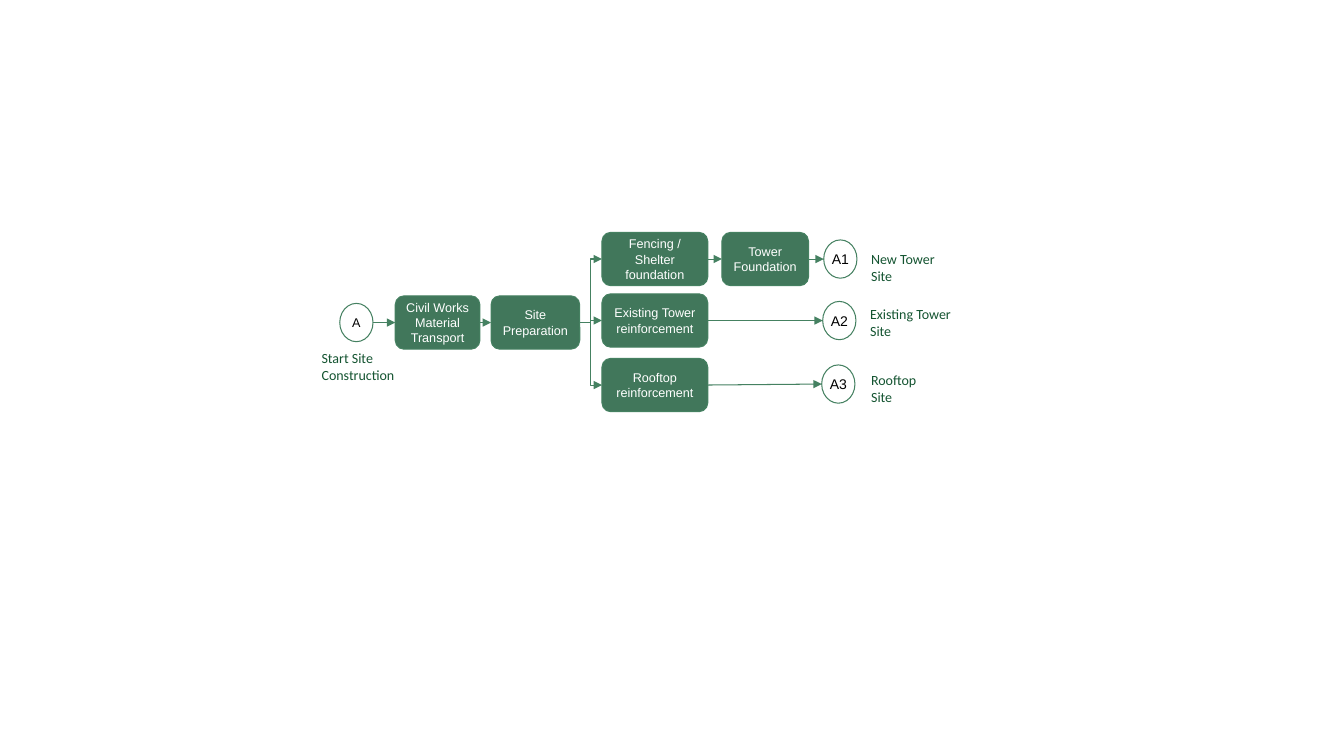
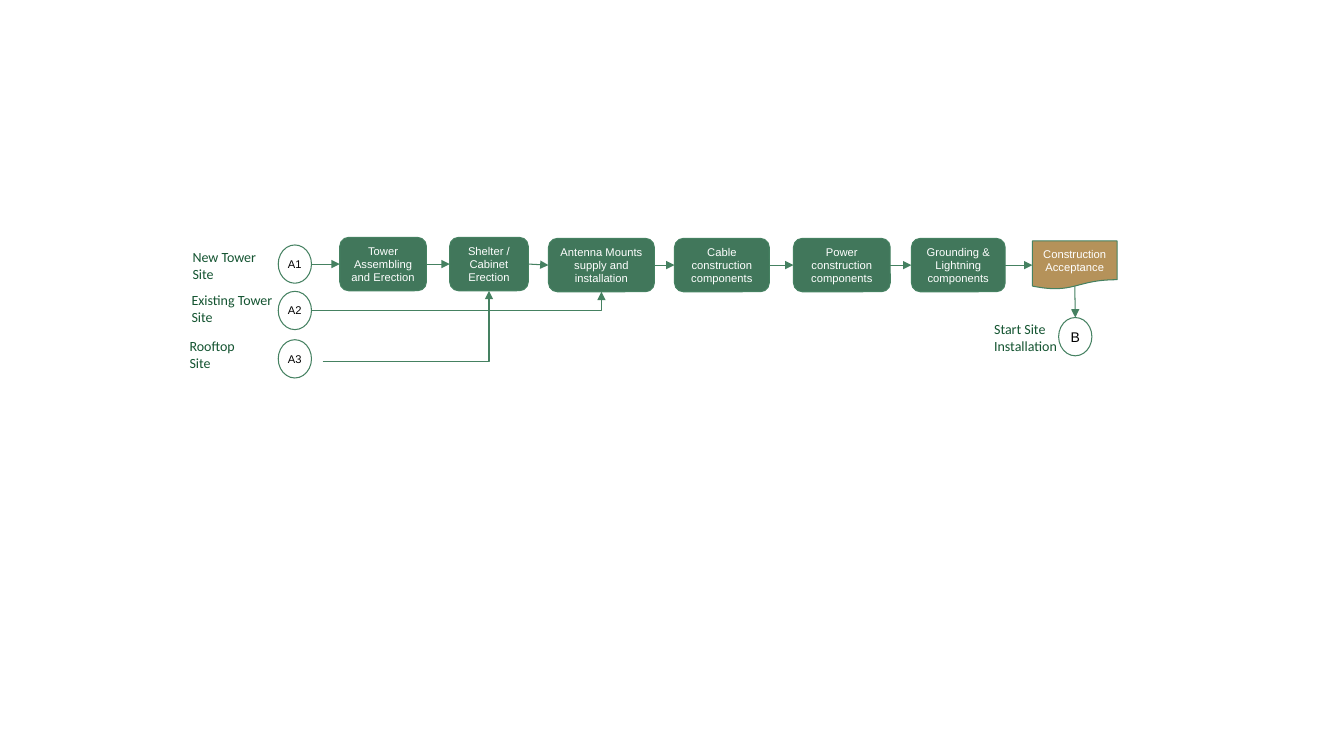
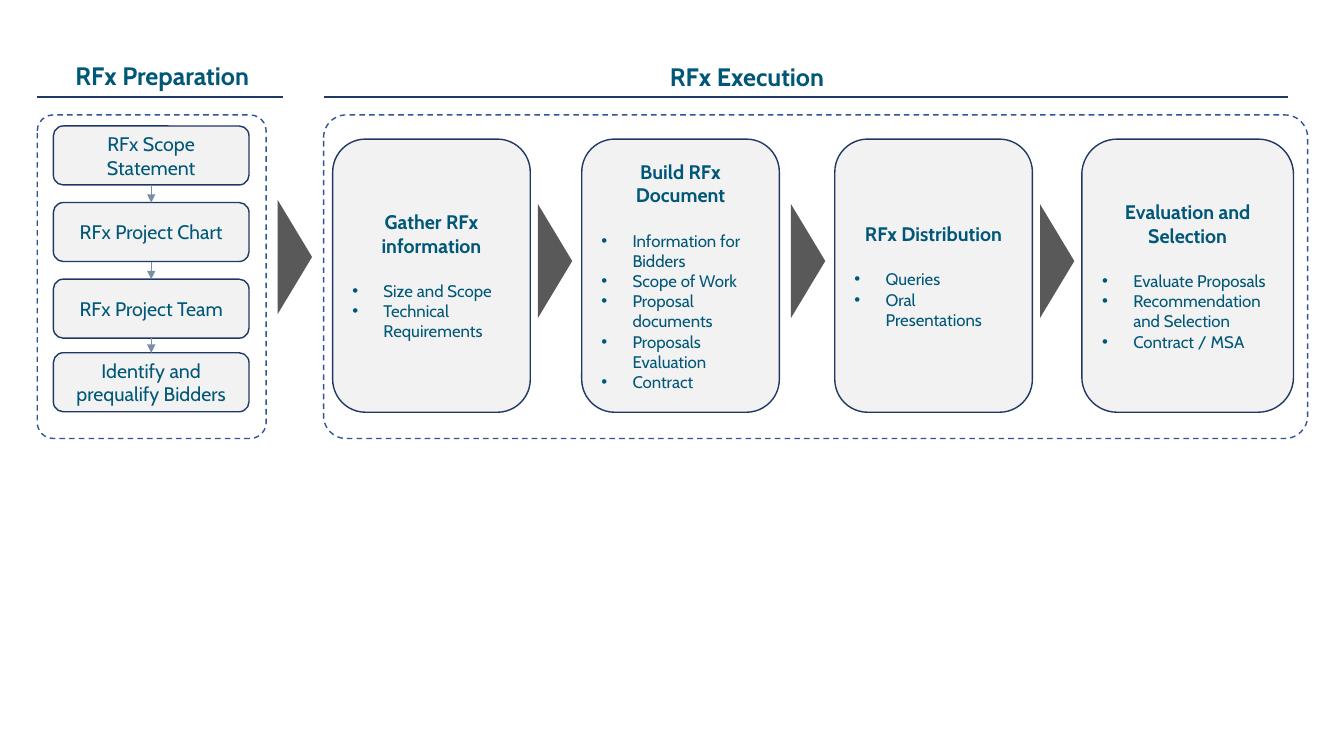
from itertools import pairwise

from lxml import etree
from pptx import Presentation
from pptx import util as u
from pptx.dml.color import RGBColor
from pptx.enum import dml, shapes, text
from pptx.oxml.ns import qn

GREEN = RGBColor(0x41, 0x77, 0x5B)
GREEN_LINE = RGBColor(0x45, 0x81, 0x61)
DARK_GREEN = RGBColor(0x14, 0x54, 0x31)
TAN = RGBColor(0xB5, 0x92, 0x5A)
WHITE = RGBColor(0xFF, 0xFF, 0xFF)
BLACK = RGBColor(0, 0, 0)
TEAL = RGBColor(0x00, 0x57, 0x78)
NAVY = RGBColor(0x20, 0x38, 0x64)
BLUE = RGBColor(0x2F, 0x55, 0x97)
BLUE_GRAY = RGBColor(0x7A, 0x8E, 0xAA)
LIGHT = RGBColor(0xF2, 0xF2, 0xF2)
GRAY = RGBColor(0x59, 0x59, 0x59)

SHAPE = shapes.MSO_SHAPE
CENTER = text.PP_ALIGN.CENTER
NODE_H = 5.3
OVAL_W, OVAL_H = 3.3, 3.8


def grid(n):
    """Length of n grid cells; ten cells make an inch."""
    return u.Inches(n / 10)


def point(x, y):
    return grid(x), grid(y)


def left(sp):
    return sp.left, sp.top + sp.height // 2


def right(sp):
    return sp.left + sp.width, sp.top + sp.height // 2


def top(sp):
    return sp.left + sp.width // 2, sp.top


def bottom(sp):
    return sp.left + sp.width // 2, sp.top + sp.height


class Deck:
    def __init__(self):
        self.prs = Presentation()
        self.prs.slide_width = u.Inches(13.33)
        self.prs.slide_height = u.Inches(7.5)
        self.s = None

    def new_slide(self):
        self.s = self.prs.slides.add_slide(self.prs.slide_layouts[6])

    def style(self, p, font, size, color, bold=False, align=None):
        p.alignment = align
        p.font.name = font
        p.font.size = u.Pt(size)
        p.font.color.rgb = color
        p.font.bold = bold

    def put_text(self, sp, words, *style, inset=None, **more):
        """Put each line of words in its own paragraph, all in one style."""
        tf = sp.text_frame
        tf.word_wrap = True
        if inset is not None:
            tf.margin_left = tf.margin_right = grid(inset)
            tf.margin_top = tf.margin_bottom = grid(inset)
        tf.text = words
        for p in tf.paragraphs:
            self.style(p, *style, **more)

    def shape(self, kind, x, y, w, h, fill=None, line=None, width=1):
        sp = self.s.shapes.add_shape(kind, grid(x), grid(y), grid(w), grid(h))
        sp.shadow.inherit = False
        if fill is None:
            sp.fill.background()
        else:
            sp.fill.solid()
            sp.fill.fore_color.rgb = fill
        if line is None:
            sp.line.fill.background()
        else:
            sp.line.color.rgb = line
            sp.line.width = u.Pt(width)
        return sp

    def node(self, x, mid, w, words, size, kind=SHAPE.ROUNDED_RECTANGLE,
             h=NODE_H, fill=GREEN):
        """Process step centred on the height mid."""
        sp = self.shape(kind, x, mid - h / 2, w, h, fill, GREEN_LINE, 0.75)
        self.put_text(sp, words, "Arial", size, WHITE, align=CENTER, inset=0.8)
        return sp

    def oval(self, x, mid, words, size):
        sp = self.shape(SHAPE.OVAL, x, mid - OVAL_H / 2, OVAL_W, OVAL_H,
                        WHITE, GREEN_LINE, 0.75)
        self.put_text(sp, words, "Arial", size, BLACK, align=CENTER, inset=0)
        return sp

    def textbox(self, x, y, w, h, words, *style, **more):
        sp = self.s.shapes.add_textbox(grid(x), grid(y), grid(w), grid(h))
        self.put_text(sp, words, *style, **more)

    def label(self, x, y, w, words):
        self.textbox(x, y, w, 3.4, words, "Calibri", 10, DARK_GREEN, inset=0)

    def line(self, start, end, color, width, preset=None, head=False):
        kind = shapes.MSO_CONNECTOR.STRAIGHT
        if preset:
            kind = shapes.MSO_CONNECTOR.ELBOW
        c = self.s.shapes.add_connector(kind, *start, *end)
        c.line.color.rgb = color
        c.line.width = u.Pt(width)
        sp_pr = c._element.spPr
        if preset:
            sp_pr.find(qn("a:prstGeom")).set("prst", preset)
        if head:
            etree.SubElement(sp_pr.find(qn("a:ln")), qn("a:tailEnd"), type="triangle")
        etree.SubElement(sp_pr, qn("a:effectLst"))

    def arrow(self, start, end, preset=None):
        self.line(start, end, GREEN_LINE, 0.75, preset, head=True)

    def chain(self, *nodes):
        """Arrows from each node to the next one on its right."""
        for a, b in pairwise(nodes):
            self.arrow(right(a), left(b))

    def heading(self, x, y, w, words, rule_x, rule_w):
        self.textbox(x, y, w, 4, words, "Cabin", 18, TEAL, True, CENTER)
        self.line(point(rule_x, 9.6), point(rule_x + rule_w, 9.6), NAVY, 1.5)

    def panel(self, x, w):
        sp = self.shape(SHAPE.ROUNDED_RECTANGLE, x, 11.4, w, 32.1, line=BLUE)
        sp.line.dash_style = dml.MSO_LINE.DASH
        sp.adjustments[0] = 0.07

    def step(self, y, words):
        sp = self.shape(SHAPE.ROUNDED_RECTANGLE, 5.3, y, 19.4, 5.85, LIGHT, NAVY)
        self.put_text(sp, words, "Cabin", 14, TEAL, align=CENTER)
        return sp

    def card(self, x, w, title, items):
        sp = self.shape(SHAPE.ROUNDED_RECTANGLE, x, 13.8, w, 27.1, LIGHT, NAVY)
        self.put_text(sp, title, "Cabin", 14, TEAL, True, CENTER)
        tf = sp.text_frame
        tf.paragraphs[0].space_after = u.Pt(17)
        for item in items:
            p = tf.add_paragraph()
            p.text = item
            self.bullet(p)
            self.style(p, "Cabin", 12, TEAL, align=text.PP_ALIGN.LEFT)

    def bullet(self, p):
        p_pr = p._p.get_or_add_pPr()
        p_pr.set("marL", str(grid(3.1)))
        p_pr.set("indent", str(-grid(3.1)))
        etree.SubElement(p_pr, qn("a:buFont"), typeface="Arial")
        etree.SubElement(p_pr, qn("a:buChar"), char="•")

    def pointer(self, mid_x, mid_y):
        """Triangle turned to the right, centred on a point."""
        w, h = 11.3, 3.4
        sp = self.shape(SHAPE.ISOSCELES_TRIANGLE, mid_x - w / 2, mid_y - h / 2,
                        w, h, GRAY)
        sp.rotation = 90


def site_preparation(d):
    d.new_slide()
    main_row, new, existing, rooftop = 32, 25.7, 31.8, 38.2
    start = d.oval(33.7, main_row, "A", 9)
    transport = d.node(39.2, main_row, 8.4, "Civil Works Material Transport", 9)
    prep = d.node(48.7, main_row, 8.8, "Site Preparation", 9)
    d.chain(start, transport, prep)

    fencing, tower, roof = [
        d.node(59.7, mid, 10.5, words, 9) for mid, words in (
            (new, "Fencing / Shelter foundation"),
            (existing, "Existing Tower reinforcement"),
            (rooftop, "Rooftop reinforcement"))]
    for branch in (fencing, tower, roof):
        d.arrow(right(prep), left(branch), "bentConnector3")

    foundation = d.node(71.6, new, 8.6, "Tower Foundation", 9)
    d.chain(fencing, foundation, d.oval(81.7, new, "A1", 10))
    d.chain(tower, d.oval(81.6, existing, "A2", 10))
    d.chain(roof, d.oval(81.5, rooftop - 0.1, "A3", 10))

    d.label(31.9, 34.7, 9.7, "Start Site Construction")
    d.label(86.4, 24.9, 7.7, "New Tower\nSite")
    d.label(86.3, 30.3, 8.8, "Existing Tower\nSite")
    d.label(86.4, 36.9, 9, "Rooftop\nSite")


def construction(d):
    d.new_slide()
    a1, a2, a3 = [d.oval(27.6, mid, words, 8) for mid, words in (
        (26.2, "A1"), (30.8, "A2"), (35.6, "A3"))]
    steps = [d.node(x, mid, w, words, 8) for x, mid, w, words in (
        (33.7, 26.2, 8.6, "Tower Assembling and Erection"),
        (44.6, 26.2, 7.8, "Shelter / Cabinet Erection"),
        (54.4, 26.3, 10.5, "Antenna Mounts supply and installation"),
        (66.9, 26.3, 9.4, "Cable construction components"),
        (78.7, 26.3, 9.6, "Power construction components"),
        (90.4, 26.3, 9.3, "Grounding & Lightning components"))]
    acceptance = d.node(102.4, 26.3, 8.4, "Construction Acceptance", 8,
                        SHAPE.FLOWCHART_DOCUMENT, 4.8, TAN)
    d.chain(a1, *steps, acceptance)

    shelter, antenna = steps[1:3]
    d.arrow(right(a2), bottom(antenna), "bentConnector2")
    d.arrow(point(32, 35.9), bottom(shelter), "bentConnector2")
    installation = d.oval(105, 33.4, "B", 10)
    d.arrow(point(106.6, 28.4), top(installation))

    d.label(98.6, 31.8, 6.9, "Start Site Installation")
    d.label(19.1, 24.7, 8.3, "New Tower\nSite")
    d.label(19, 28.9, 8.8, "Existing Tower\nSite")
    d.label(18.8, 33.5, 10.1, "Rooftop\nSite")


def rfx_process(d):
    d.new_slide()
    d.heading(2.6, 5.5, 27, "RFx Preparation", 3.7, 24.4)
    d.heading(56.1, 5.6, 36, "RFx Execution", 32.1, 95.6)
    d.panel(3.7, 22.7)
    d.panel(32.1, 97.6)

    steps = [d.step(y, words) for y, words in (
        (12.5, "RFx Scope Statement"), (20.1, "RFx Project Chart"),
        (27.7, "RFx Project Team"), (35, "Identify and prequalify Bidders"))]
    for a, b in pairwise(steps):
        d.line(bottom(a), top(b), BLUE_GRAY, 0.5, head=True)

    d.pointer(29.25, 25.5)
    for x in (55.05, 80.15, 104.85):
        d.pointer(x, 25.9)

    d.card(33, 19.6, "Gather RFx information",
           ["Size and Scope", "Technical Requirements"])
    d.card(57.7, 19.6, "Build RFx Document",
           ["Information for Bidders", "Scope of Work", "Proposal documents",
            "Proposals Evaluation", "Contract"])
    d.card(82.8, 19.6, "RFx Distribution", ["Queries", "Oral Presentations"])
    d.card(107.3, 21, "Evaluation and Selection",
           ["Evaluate Proposals", "Recommendation and Selection", "Contract / MSA"])


def main():
    d = Deck()
    site_preparation(d)
    construction(d)
    rfx_process(d)
    d.prs.save("out.pptx")


if __name__ == "__main__":
    main()
